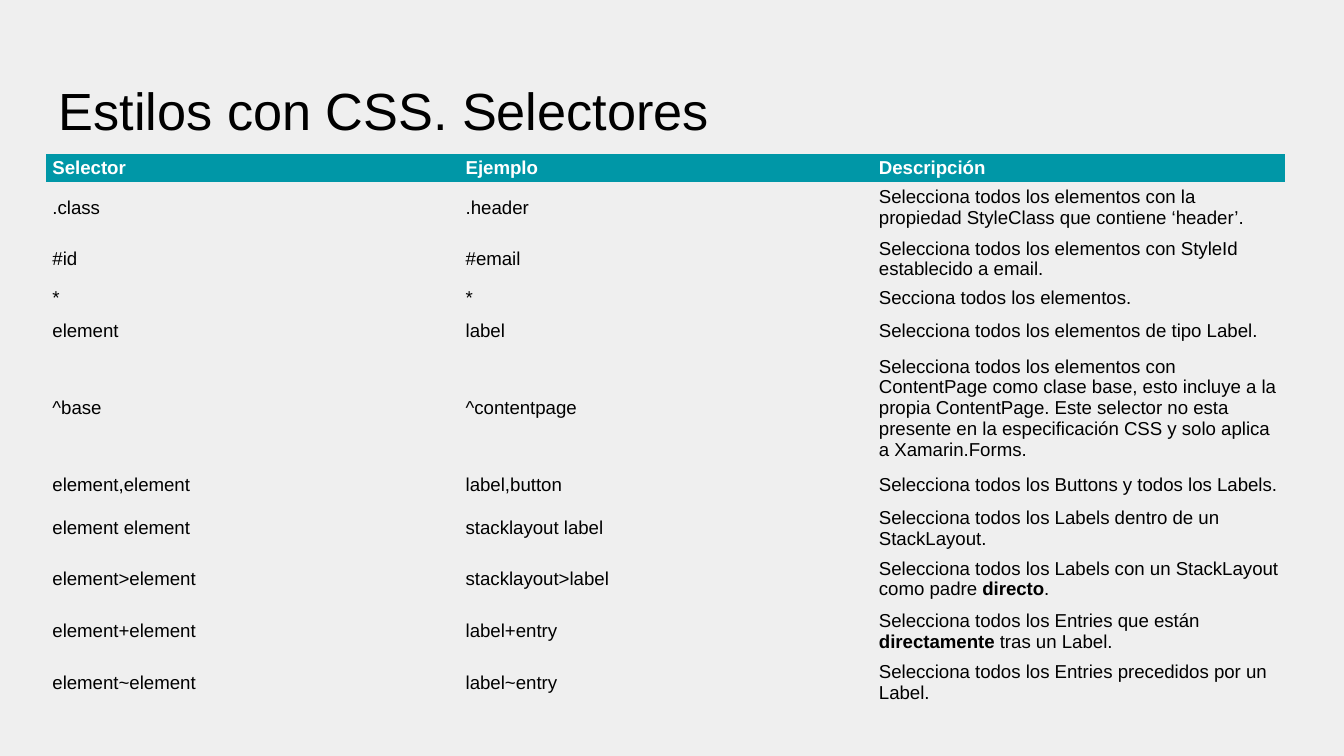
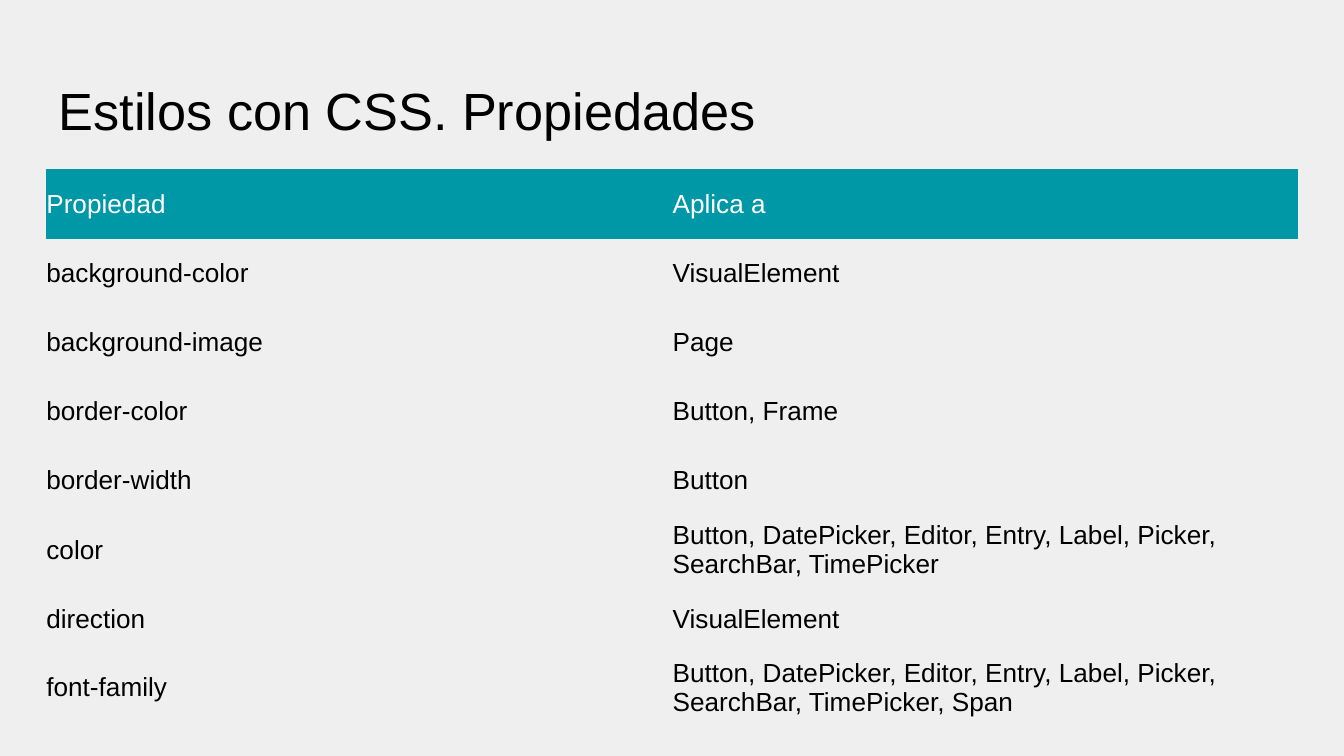
"""Builds two slides of tables on CSS selectors and properties."""
import pptx
import pptx.dml.color
import pptx.enum.text
import pptx.util

PX = 4572
BACKGROUND = pptx.dml.color.RGBColor(0xEF, 0xEF, 0xEF)
TEAL = pptx.dml.color.RGBColor(0x00, 0x97, 0xA7)
WHITE = pptx.dml.color.RGBColor(0xFF, 0xFF, 0xFF)
BLACK = pptx.dml.color.RGBColor(0x00, 0x00, 0x00)
FONT = "Arial"
NO_GRID = "{2D5ABB26-0587-4C30-8999-92F81FD0307C}"
LEFT = 68
MIDDLE = pptx.enum.text.MSO_ANCHOR.MIDDLE

SELECTORS = [
    ("Selector", "Ejemplo", "Descripción"),
    (".class", ".header",
     "Selecciona todos los elementos con la propiedad StyleClass que contiene ‘header’."),
    ("#id", "#email",
     "Selecciona todos los elementos con StyleId establecido a email."),
    ("*", "*", "Secciona todos los elementos."),
    ("element", "label", "Selecciona todos los elementos de tipo Label."),
    ("^base", "^contentpage",
     "Selecciona todos los elementos con ContentPage como clase base, esto incluye a la "
     "propia ContentPage. Este selector no esta presente en la especificación CSS y solo "
     "aplica a Xamarin.Forms."),
    ("element,element", "label,button",
     "Selecciona todos los Buttons y todos los Labels."),
    ("element element", "stacklayout label",
     "Selecciona todos los Labels dentro de un StackLayout."),
    ("element>element", "stacklayout>label",
     "Selecciona todos los Labels con un StackLayout como padre **directo**."),
    ("element+element", "label+entry",
     "Selecciona todos los Entries que están **directamente** tras un Label."),
    ("element~element", "label~entry",
     "Selecciona todos los Entries precedidos por un Label."),
]
SELECTOR_HEIGHTS = [40, 78, 73, 40, 56, 170, 54, 74, 76, 79, 72]

PROPERTIES = [
    ("Propiedad", "Aplica a"),
    ("background-color", "VisualElement"),
    ("background-image", "Page"),
    ("border-color", "Button, Frame"),
    ("border-width", "Button"),
    ("color",
     "Button, DatePicker, Editor, Entry, Label, Picker, \nSearchBar, TimePicker"),
    ("direction", "VisualElement"),
    ("font-family",
     "Button, DatePicker, Editor, Entry, Label, Picker,\nSearchBar, TimePicker, Span"),
]
PROPERTY_HEIGHTS = [103] * 7 + [101]


class Deck:
    """Holds the shared style and the current slide."""

    def __init__(self):
        self.presentation = pptx.Presentation()
        self.presentation.slide_width = 2000 * PX
        self.presentation.slide_height = 1125 * PX
        self.slide = None

    def add_slide(self, title):
        """Starts a slide with its background and title."""
        self.slide = self.presentation.slides.add_slide(self.presentation.slide_layouts[6])
        fill = self.slide.background.fill
        fill.solid()
        fill.fore_color.rgb = BACKGROUND
        self.title(title)

    def style(self, paragraph, size, color, bold=None):
        """Sets the font of a whole paragraph."""
        font = paragraph.font
        font.name = FONT
        font.size = pptx.util.Pt(size)
        font.color.rgb = color
        font.bold = bold

    def title(self, text):
        """Writes the slide title."""
        frame = self.slide.shapes.add_textbox(
            LEFT * PX, 97 * PX, 1864 * PX, 126 * PX).text_frame
        frame.word_wrap = True
        frame.margin_left = frame.margin_right = 20 * PX
        frame.margin_top = frame.margin_bottom = 20 * PX
        frame.text = text
        self.style(frame.paragraphs[0], 28, BLACK)

    def table(self, rows, top, column_width, heights, size, margins, bold_header):
        """Draws a table whose first row is the coloured header."""
        count = len(rows[0])
        table = self.slide.shapes.add_table(
            len(rows), count, LEFT * PX, top * PX,
            count * column_width * PX, sum(heights) * PX).table
        table.horz_banding = False
        table._tbl.tblPr[0].text = NO_GRID
        for column in table.columns:
            column.width = column_width * PX
        for index, (row, texts, height) in enumerate(zip(table.rows, rows, heights)):
            row.height = height * PX
            for cell, text in zip(row.cells, texts):
                self.cell(cell, text, size, margins, index == 0, bold_header)

    def cell(self, cell, text, size, margins, header, bold_header):
        """Fills one cell, with bold parts between double asterisks."""
        side, edge = margins
        cell.margin_left = cell.margin_right = side * PX
        cell.margin_top = cell.margin_bottom = edge * PX
        cell.vertical_anchor = MIDDLE
        if header:
            cell.fill.solid()
            cell.fill.fore_color.rgb = TEAL
        else:
            cell.fill.background()
        frame = cell.text_frame
        for index, line in enumerate(text.split("\n")):
            paragraph = frame.add_paragraph() if index else frame.paragraphs[0]
            for part, words in enumerate(line.split("**")):
                run = paragraph.add_run()
                run.text = words
                if part % 2:
                    run.font.bold = True
            self.style(paragraph, size, WHITE if header else BLACK, header and bold_header)


def main():
    deck = Deck()
    deck.add_slide("Estilos con CSS. Selectores")
    deck.table(SELECTORS, 229, 615, SELECTOR_HEIGHTS, 10, (10, 4), True)
    deck.add_slide("Estilos con CSS. Propiedades")
    deck.table(PROPERTIES, 252, 932, PROPERTY_HEIGHTS, 14, (1, 0), False)
    deck.presentation.save("out.pptx")


if __name__ == "__main__":
    main()
